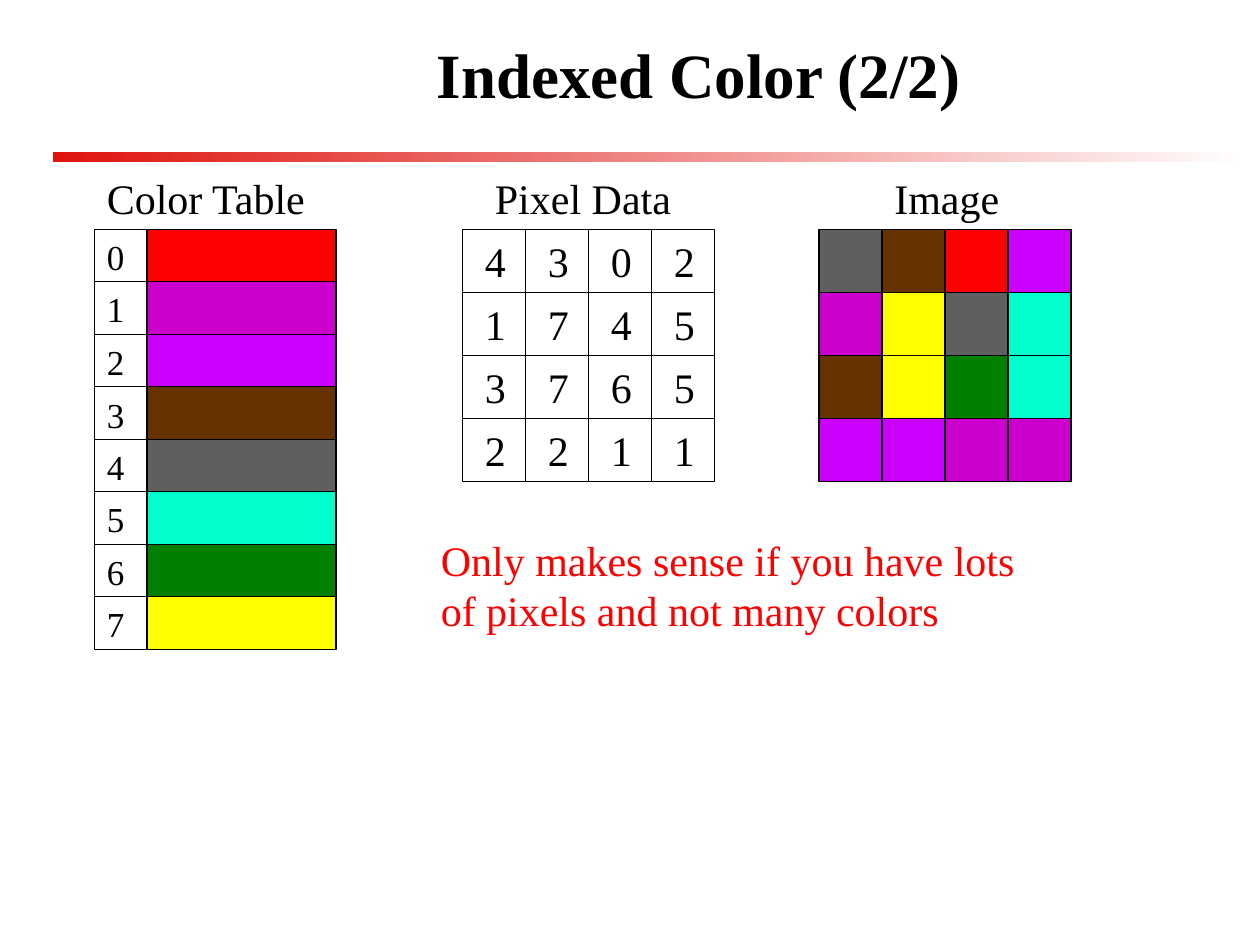
from pptx import Presentation
from pptx.dml.color import RGBColor
from pptx.enum.shapes import MSO_SHAPE
from pptx.enum.text import MSO_ANCHOR, MSO_AUTO_SIZE, PP_ALIGN
from pptx.util import Inches, Pt

FONT = "Times New Roman"
COLORS = {"ink": "000000", "note": "FF0000", "rule": "DF140F", "paper": "FFFFFF"}

# Colors by index, and the index stored for each pixel
COLOR_TABLE = ["FF0000", "CC00CC", "CC00FF", "663300",
               "5F5F5F", "00FFCC", "008000", "FFFF00"]
PIXELS = [[4, 3, 0, 2],
          [1, 7, 4, 5],
          [3, 7, 6, 5],
          [2, 2, 1, 1]]

HEADING_TOP = 1.32
GRID_TOP = 1.82
TABLE_LEFT, PIXEL_LEFT, IMAGE_LEFT = 0.75, 3.67, 6.5
ENTRY = 5 / 12
SWATCH_WIDTH = 1.5
PIXEL = 0.5


def rgb(value):
    return RGBColor.from_string(value)


def add_run(paragraph, text, size, color=COLORS["ink"], bold=False):
    run = paragraph.add_run()
    run.text = text
    run.font.name = FONT
    run.font.size = Pt(size)
    run.font.bold = bold
    run.font.color.rgb = rgb(color)


def add_rectangle(slide, left, top, width, height):
    shape = slide.shapes.add_shape(MSO_SHAPE.RECTANGLE, Inches(left), Inches(top),
                                   Inches(width), Inches(height))
    shape.shadow.inherit = False
    return shape


def add_cell(slide, left, top, width, height, fill=None):
    shape = add_rectangle(slide, left, top, width, height)
    if fill:
        shape.fill.solid()
        shape.fill.fore_color.rgb = rgb(fill)
    else:
        shape.fill.background()
    shape.line.color.rgb = rgb(COLORS["ink"])
    shape.line.width = Pt(0.75)


def add_text(slide, text, left, top, width, height, size=24,
             color=COLORS["ink"], wrap=False):
    box = slide.shapes.add_textbox(Inches(left), Inches(top),
                                   Inches(width), Inches(height))
    frame = box.text_frame
    frame.word_wrap = wrap
    frame.auto_size = MSO_AUTO_SIZE.SHAPE_TO_FIT_TEXT
    add_run(frame.paragraphs[0], text, size, color)


def add_title(slide, text):
    title = slide.shapes.title
    title.left, title.top = Inches(1.17), Inches(0.17)
    title.width, title.height = Inches(8.75), Inches(0.83)
    title.text_frame.vertical_anchor = MSO_ANCHOR.MIDDLE
    paragraph = title.text_frame.paragraphs[0]
    paragraph.alignment = PP_ALIGN.CENTER
    add_run(paragraph, text, 36, bold=True)


def add_title_rule(slide):
    rule = add_rectangle(slide, 0.42, 1.21, 9.5, 0.08)
    rule.line.fill.background()
    rule.fill.gradient()
    rule.fill.gradient_angle = 0
    for stop, name in zip(rule.fill.gradient_stops, ("rule", "paper")):
        stop.color.rgb = rgb(COLORS[name])


def add_color_table(slide):
    add_text(slide, "Color Table", TABLE_LEFT, HEADING_TOP, 1.8, 0.5)
    for index, color in enumerate(COLOR_TABLE):
        top = GRID_TOP + index * ENTRY
        add_cell(slide, TABLE_LEFT + ENTRY, top, SWATCH_WIDTH, ENTRY, color)
        add_text(slide, str(index), TABLE_LEFT, top, ENTRY, 0.43, size=20, wrap=True)
        add_cell(slide, TABLE_LEFT, top, ENTRY, ENTRY)


def pixel_cells(grid_left):
    """Yield the left, top and color index of each pixel."""
    for row, indexes in enumerate(PIXELS):
        for column, index in enumerate(indexes):
            yield grid_left + column * PIXEL, GRID_TOP + row * PIXEL, index


def add_pixel_data(slide):
    for left, top, index in pixel_cells(PIXEL_LEFT):
        add_cell(slide, left, top, PIXEL, PIXEL)
        add_text(slide, str(index), left + 0.08, top, 0.37, PIXEL)
    add_text(slide, "Pixel Data", 3.83, HEADING_TOP, 1.6, 0.5)


def add_image_grid(slide):
    for left, top, index in pixel_cells(IMAGE_LEFT):
        add_cell(slide, left, top, PIXEL, PIXEL, COLOR_TABLE[index])
    add_text(slide, "Image", 7, HEADING_TOP, 1.03, 0.5)


def main():
    presentation = Presentation()
    presentation.slide_width = Inches(10)
    presentation.slide_height = Inches(7.5)
    slide = presentation.slides.add_slide(presentation.slide_layouts[5])

    # Header
    add_title_rule(slide)
    add_title(slide, "Indexed Color (2/2)")

    # Lookup table, stored indexes and resulting colors
    add_color_table(slide)
    add_pixel_data(slide)
    add_image_grid(slide)

    # Remark
    add_text(slide, "Only makes sense if you have lots of pixels and not many colors",
             3.4, 4.19, 5.1, 0.91, color=COLORS["note"], wrap=True)

    presentation.save("out.pptx")


if __name__ == "__main__":
    main()
